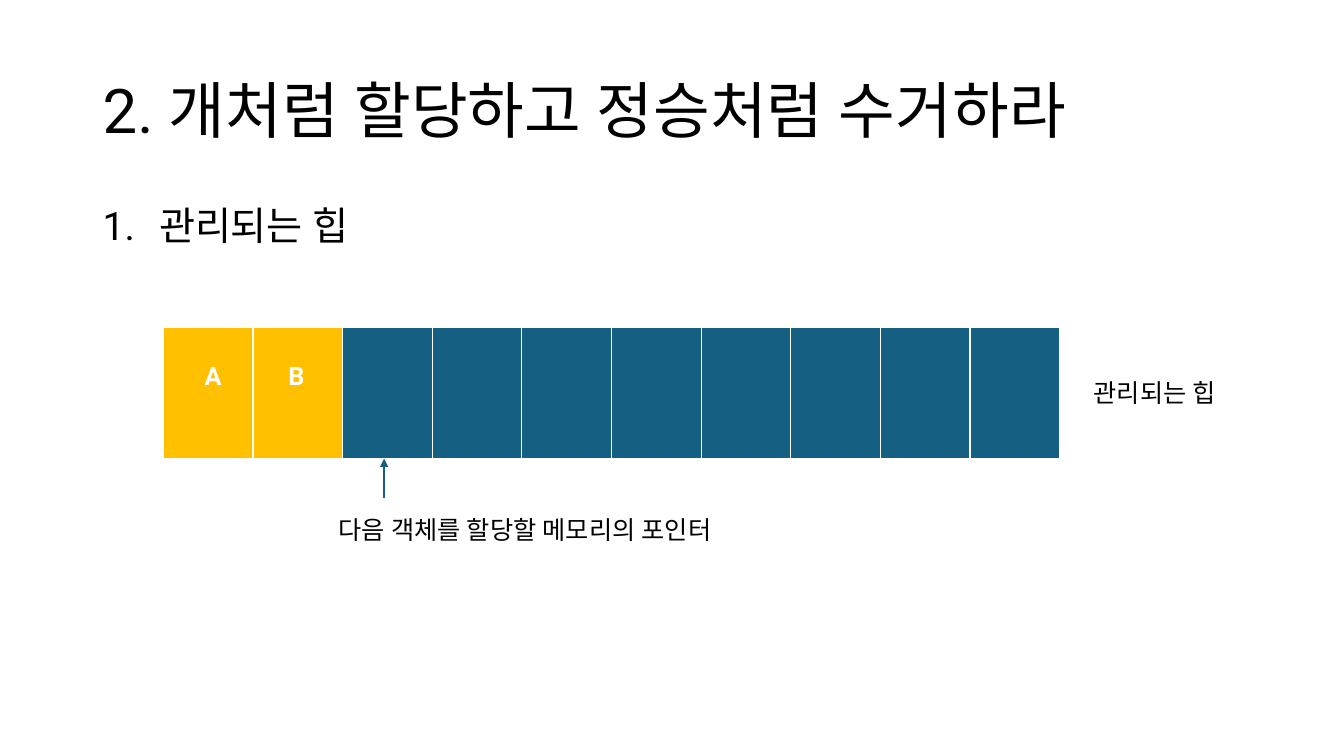
from lxml import etree
from pptx import Presentation
from pptx import util as u
from pptx.dml.color import RGBColor
from pptx.enum import lang, shapes, text
from pptx.oxml import ns

PX = 9144  # EMU per px, 100 px to the inch
FONT = "Roboto"
BLACK, WHITE, USED, FREE = "000000", "FFFFFF", "FFC000", "156082"

# Content: wording, box (left, top, width, height), size in points
TITLE = ("2. 개처럼 할당하고 정승처럼 수거하라", (92, 40, 1150, 145), 44)
HEADING = ("관리되는 힙", (92, 200, 1150, 476), 28)
LABELS = [
    ("관리되는 힙", (1075, 369, 167, 40), 18),
    ("다음 객체를 할당할 메모리의 포인터", (326, 505, 417, 40), 18),
]
OBJECTS = [("A", 41), ("B", 35)]  # name, left margin in its cell
SLOTS = 10
HEAP = (162, 325, 889, 131)
OBJECT_TOP = 34
POINTER = (381, 494, 381, 455)
HEADING_INDENT = 56
BORDERS = {"a:lnL": 1, "a:lnR": 1, "a:lnT": 1, "a:lnB": 3}


def px(*values):
    return [u.Emu(v * PX) for v in values]


def color(hex_value):
    return RGBColor.from_string(hex_value)


def sub(parent, tag, **attrs):
    return etree.SubElement(parent, ns.qn(tag), attrs)


def add_run(p, words, size, hex_value, bold=False):
    r = p.add_run()
    r.text = words
    r.font.size, r.font.name, r.font.bold = u.Pt(size), FONT, bold
    r.font.language_id = lang.MSO_LANGUAGE_ID.KOREAN
    r.font.color.rgb = color(hex_value)
    sub(r.font._element, "a:ea", typeface=FONT)


def add_text(slide, item):
    words, box, size = item
    tf = slide.shapes.add_textbox(*px(*box)).text_frame
    tf.word_wrap = True
    add_run(tf.paragraphs[0], words, size, BLACK)
    return tf


def set_borders(cell):
    tcPr = cell._tc.get_or_add_tcPr()
    for i, (tag, width) in enumerate(BORDERS.items()):
        ln = etree.Element(ns.qn(tag), w=str(u.Pt(width)))
        sub(sub(ln, "a:solidFill"), "a:srgbClr", val=WHITE)
        tcPr.insert(i, ln)


prs = Presentation()
prs.slide_width, prs.slide_height = u.Inches(13.33), u.Inches(7.5)
slide = prs.slides.add_slide(prs.slide_layouts[6])

# Title and numbered heading
tf = add_text(slide, TITLE)
tf.vertical_anchor = text.MSO_ANCHOR.MIDDLE
tf.paragraphs[0].line_spacing = 0.9

p = add_text(slide, HEADING).paragraphs[0]
p.line_spacing, p.space_before = 0.9, u.Pt(10)
pPr = p._p.get_or_add_pPr()
pPr.set("marL", str(HEADING_INDENT * PX))
pPr.set("indent", str(-HEADING_INDENT * PX))
sub(pPr, "a:buFont", typeface=FONT)
sub(pPr, "a:buAutoNum", type="arabicPeriod")

# Managed heap: used slots first, then free ones
heap = slide.shapes.add_table(1, SLOTS, *px(*HEAP)).table
heap.first_row = heap.horz_banding = False
for i, cell in enumerate(heap.iter_cells()):
    cell.fill.solid()
    cell.fill.fore_color.rgb = color(USED if i < len(OBJECTS) else FREE)
    set_borders(cell)
for (name, left), cell in zip(OBJECTS, heap.iter_cells()):
    cell.margin_left, cell.margin_top = px(left, OBJECT_TOP)
    add_run(cell.text_frame.paragraphs[0], name, 18, WHITE, bold=True)

# Labels
for label in LABELS:
    add_text(slide, label)

# Pointer to the next free slot
arrow = slide.shapes.add_connector(shapes.MSO_CONNECTOR.STRAIGHT, *px(*POINTER))
arrow.line.color.rgb, arrow.line.width = color(FREE), u.Pt(1.5)
sub(arrow.line._get_or_add_ln(), "a:tailEnd", type="triangle")
sub(arrow._element.spPr, "a:effectLst")

prs.save("out.pptx")
